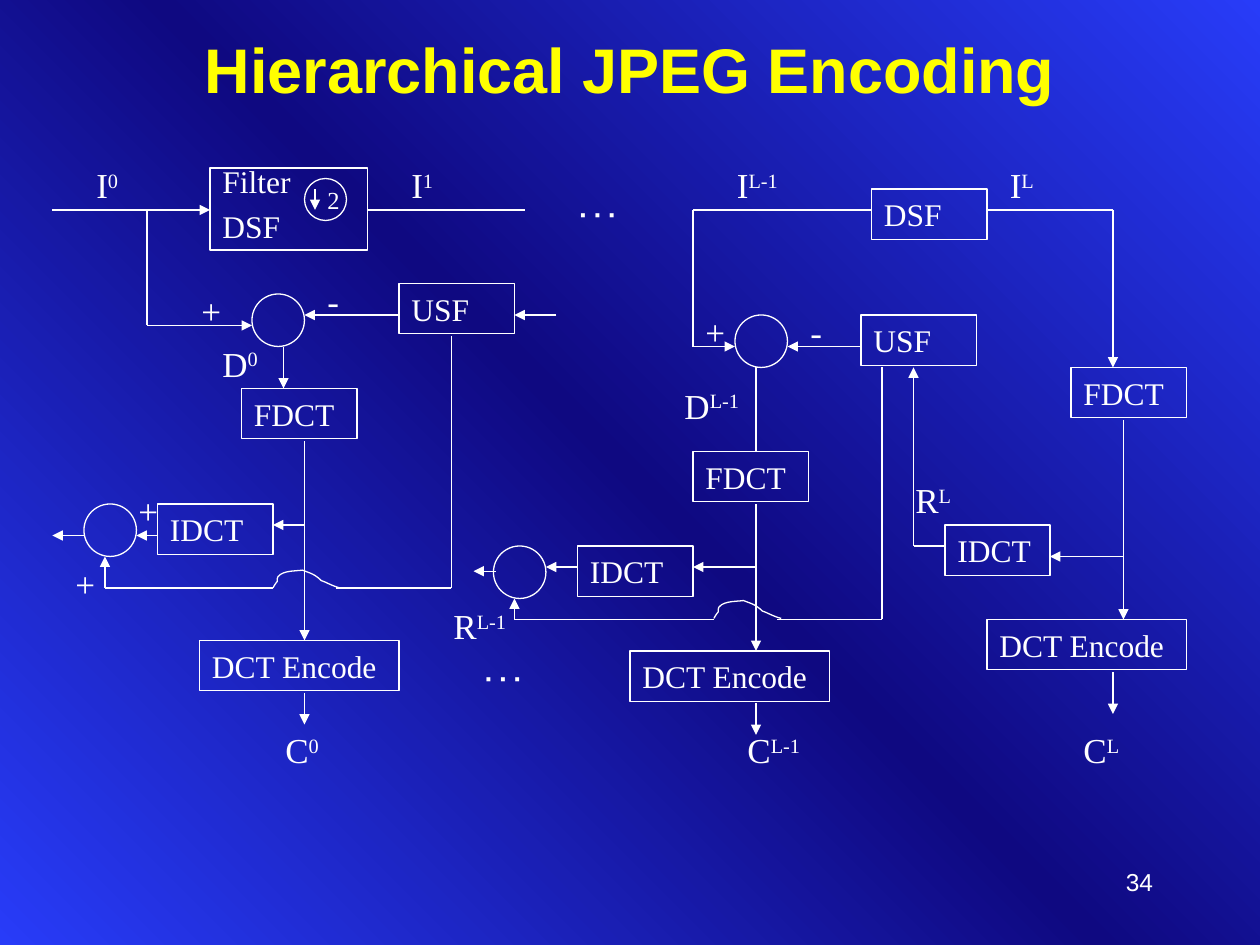
from copy import deepcopy
from dataclasses import dataclass
from itertools import pairwise

from lxml.etree import SubElement
from pptx import Presentation
from pptx.dml.color import RGBColor
from pptx.enum.shapes import MSO_CONNECTOR, MSO_SHAPE
from pptx.enum.text import MSO_ANCHOR, MSO_AUTO_SIZE, PP_ALIGN
from pptx.oxml.ns import qn
from pptx.util import Emu, Pt

SCALE = 7620
LABEL_HEIGHT = 53
BOX_HEIGHT = 48
SUM_SIZE = 50


@dataclass(frozen=True)
class Theme:
    """Colours, fonts and type sizes of the slide."""
    ink: str = "FFFFFF"
    heading: str = "FFFF00"
    bright: str = "283CF8"
    dark: str = "0F0981"
    sans: str = "Arial"
    serif: str = "Times New Roman"
    dots: str = "Cabin"
    title_size: int = 36
    label_size: int = 20
    box_size: int = 18
    small_size: int = 14
    line_width: float = 0.75


class Diagram:
    """Draws the elements of a block diagram on one slide."""

    def __init__(self, page, theme):
        self.page = page
        self.theme = theme

    def lengths(self, *pixels):
        return [Emu(round(value * SCALE)) for value in pixels]

    def background(self):
        fill = self.page.background.fill
        fill.gradient()
        fill.gradient_angle = 45
        stop_list = next(self.page.element.iter(qn("a:gsLst")))
        stop_list.insert(1, deepcopy(stop_list[0]))
        colours = (self.theme.bright, self.theme.dark, self.theme.bright)
        for stop, position, colour in zip(fill.gradient_stops, (0, 0.5, 1), colours):
            stop.position = position
            stop.color.rgb = RGBColor.from_string(colour)

    def span(self, para, text, size, font, colour=None, bold=False, raised=False):
        span = para.add_run()
        span.text = text
        span.font.size = Pt(size)
        span.font.name = font
        span.font.bold = bold
        span.font.color.rgb = RGBColor.from_string(colour or self.theme.ink)
        if raised:
            span.font._element.set("baseline", "30000")

    def frame(self, shape, anchor=MSO_ANCHOR.TOP, fit=MSO_AUTO_SIZE.SHAPE_TO_FIT_TEXT):
        frame = shape.text_frame
        frame.word_wrap = True
        frame.auto_size = fit
        frame.vertical_anchor = anchor
        return frame

    def outline(self, shape):
        shape.shadow.inherit = False
        shape.fill.background()
        shape.line.color.rgb = RGBColor.from_string(self.theme.ink)
        shape.line.width = Pt(self.theme.line_width)

    def title(self, text, left, top, width, height):
        title = self.page.shapes.title
        title.left, title.top, title.width, title.height = self.lengths(left, top, width, height)
        para = self.frame(title, MSO_ANCHOR.MIDDLE, MSO_AUTO_SIZE.NONE).paragraphs[0]
        para.alignment = PP_ALIGN.CENTER
        self.span(para, text, self.theme.title_size, self.theme.sans, self.theme.heading, bold=True)

    def text(self, left, top, width, height, *spans, align=PP_ALIGN.LEFT):
        box = self.page.shapes.add_textbox(*self.lengths(left, top, width, height))
        para = self.frame(box).paragraphs[0]
        para.alignment = align
        for options in spans:
            self.span(para, **options)

    def label(self, left, top, width, base, raised=""):
        style = {"size": self.theme.label_size, "font": self.theme.serif}
        spans = [{"text": base, **style}]
        if raised:
            spans.append({"text": raised, "raised": True, **style})
        self.text(left, top, width, LABEL_HEIGHT, *spans)

    def box(self, left, top, width, *lines, height=BOX_HEIGHT, spacing=None):
        box = self.page.shapes.add_shape(MSO_SHAPE.RECTANGLE, *self.lengths(left, top, width, height))
        self.outline(box)
        frame = self.frame(box)
        for index, line in enumerate(lines):
            para = frame.add_paragraph() if index else frame.paragraphs[0]
            para.alignment = PP_ALIGN.LEFT
            para.space_before = Pt(11.2)
            para.line_spacing = spacing
            self.span(para, line, self.theme.box_size, self.theme.serif)

    def circle(self, left, top, size=SUM_SIZE):
        self.outline(self.page.shapes.add_shape(MSO_SHAPE.OVAL, *self.lengths(left, top, size, size)))

    def route(self, *points, arrow=True):
        for start, end in pairwise(points):
            line = self.page.shapes.add_connector(MSO_CONNECTOR.STRAIGHT, *self.lengths(*start, *end))
            line.line.color.rgb = RGBColor.from_string(self.theme.ink)
            line.line.width = Pt(self.theme.line_width)
            if arrow and end == points[-1]:
                SubElement(line.line._get_or_add_ln(), qn("a:tailEnd"), type="triangle")
            SubElement(line._element.spPr, qn("a:effectLst"))

    def hop(self, left, base):
        curve = [(64, 0), (56, -2), (52, -5), (46, -7), (40, -13), (36, -14), (28, -17), (23, -16),
                 (10, -17), (5, -11), (4, -10), (4, -7), (4, -6), (2, -4), (0, 0), (0, 0)]
        points = [curve[0]]
        for first in range(0, len(curve) - 1, 3):
            for step in range(1, 9):
                t = step / 8
                weights = ((1 - t) ** 3, 3 * t * (1 - t) ** 2, 3 * t * t * (1 - t), t ** 3)
                points.append([sum(w * p[axis] for w, p in zip(weights, curve[first:first + 4]))
                               for axis in (0, 1)])
        vertices = [self.lengths(left + x, base + y) for x, y in points]
        builder = self.page.shapes.build_freeform(*vertices[0])
        builder.add_line_segments(vertices[1:], close=False)
        self.outline(builder.convert_to_shape())


BOXES = [
    (230, 370, 110, "FDCT"), (150, 480, 110, "IDCT"), (900, 500, 100, "IDCT"),
    (190, 610, 190, "DCT Encode"), (380, 270, 110, "USF"), (830, 180, 110, "DSF"),
    (1020, 350, 110, "FDCT"), (820, 300, 110, "USF"), (660, 430, 110, "FDCT"),
    (550, 520, 110, "IDCT"), (600, 620, 190, "DCT Encode"), (940, 590, 190, "DCT Encode"),
]
SUMS = [(240, 280), (80, 480), (700, 300), (470, 520)]
ARROWS = [
    [(300, 180), (300, 200)], [(50, 200), (200, 200)], [(140, 200), (140, 310), (240, 310)],
    [(380, 300), (290, 300)], [(270, 330), (270, 370)], [(290, 420), (290, 610)],
    [(290, 500), (260, 500)], [(150, 510), (130, 510)], [(80, 510), (50, 510)],
    [(260, 560), (100, 560), (100, 530)], [(290, 660), (290, 690)], [(530, 300), (490, 300)],
    [(830, 200), (660, 200), (660, 330), (700, 330)], [(820, 330), (750, 330)],
    [(940, 200), (1060, 200), (1060, 350)], [(1070, 400), (1070, 590)],
    [(1070, 530), (1000, 530)], [(900, 520), (870, 520), (870, 350)],
    [(720, 480), (720, 620)], [(680, 590), (490, 590), (490, 570)], [(550, 540), (520, 540)],
    [(472, 544), (451, 544)], [(720, 670), (720, 700)], [(1060, 640), (1060, 680)],
    [(720, 540), (660, 540)],
]
PLAIN_LINES = [
    [(350, 200), (500, 200)], [(430, 320), (430, 560), (320, 560)],
    [(720, 350), (720, 430)], [(840, 350), (840, 590), (740, 590)],
]
HOPS = [(260, 560), (680, 589)]
LABELS = [
    (80, 150, 50, "I", "0"), (380, 150, 60, "I", "1"), (200, 320, 70, "D", "0"),
    (260, 688, 70, "C", "0"), (690, 150, 90, "I", "L-1"), (950, 150, 60, "I", "L"),
    (640, 360, 90, "D", "L-1"), (860, 450, 70, "R", "L"), (420, 570, 100, "R", "L-1"),
    (700, 688, 100, "C", "L-1"), (1020, 688, 100, "C", "L"),
    (120, 460, 50, "+"), (180, 270, 50, "+"), (660, 290, 50, "+"), (60, 530, 50, "+"),
    (300, 260, 50, "-"), (760, 290, 50, "-"),
]
ELLIPSES = [(450, 620), (540, 178)]


def main():
    """Build the encoder slide and save it."""
    theme = Theme()
    deck = Presentation()
    deck.slide_width, deck.slide_height = Emu(1200 * SCALE), Emu(900 * SCALE)
    diagram = Diagram(deck.slides.add_slide(deck.slide_layouts[5]), theme)
    diagram.background()
    diagram.title("Hierarchical JPEG Encoding", 90, 10, 1020, 110)
    diagram.text(860, 820, 250, 60, {"text": "34", "size": theme.small_size, "font": theme.sans},
                 align=PP_ALIGN.RIGHT)
    diagram.box(200, 160, 150, "Filter", "DSF", height=78, spacing=0.65)
    diagram.circle(290, 170, 40)
    diagram.text(300, 170, 40, 41, {"text": "2", "size": theme.small_size, "font": theme.serif})
    for box in BOXES:
        diagram.box(*box)
    for place in SUMS:
        diagram.circle(*place)
    for points in ARROWS:
        diagram.route(*points)
    for points in PLAIN_LINES:
        diagram.route(*points, arrow=False)
    for place in HOPS:
        diagram.hop(*place)
    for label in LABELS:
        diagram.label(*label)
    for place in ELLIPSES:
        diagram.text(*place, 90, 120,
                     {"text": "· · ·", "size": theme.box_size, "font": theme.dots, "bold": True})
    deck.save("out.pptx")


if __name__ == "__main__":
    main()
